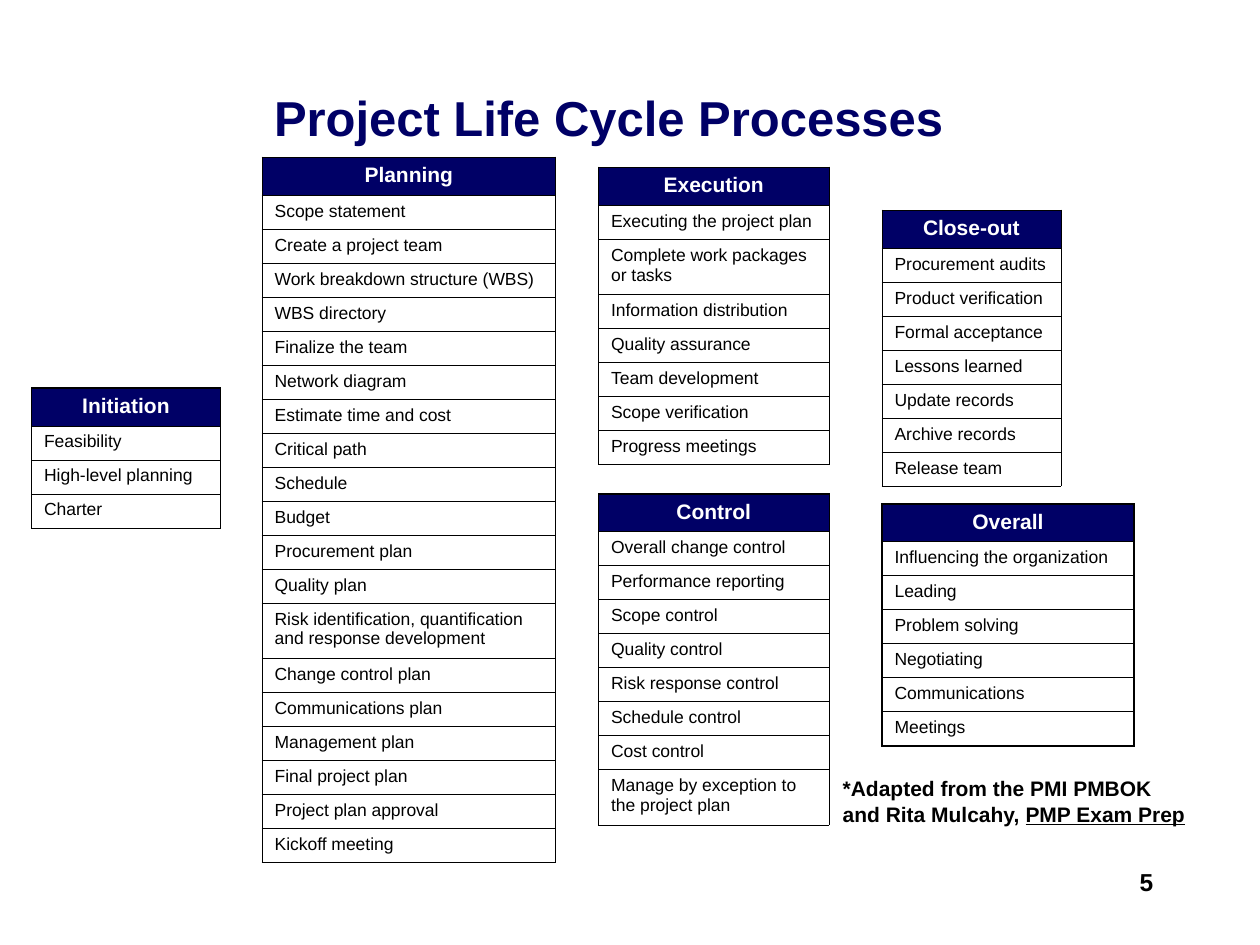
from lxml import etree
from pptx import Presentation
from pptx.dml.color import RGBColor
from pptx.enum import text
from pptx.oxml.ns import qn
from pptx.util import Inches, Pt

# Content
NAVY, BLACK, WHITE = "000066", "000000", "FFFFFF"
TITLE = "Project Life Cycle Processes"
PROCESSES = [
    {"name": "Initiation", "at": (0.25, 3.08), "width": 1.5,
     "steps": ["Feasibility", "High-level planning", "Charter"]},
    {"name": "Planning", "at": (2.08, 1.25), "width": 2.33, "thick": {"bottom"},
     "steps": ["Scope statement", "Create a project team",
               "Work breakdown structure (WBS)", "WBS directory",
               "Finalize the team", "Network diagram", "Estimate time and cost",
               "Critical path", "Schedule", "Budget", "Procurement plan",
               "Quality plan",
               "Risk identification, quantification and response development",
               "Change control plan", "Communications plan", "Management plan",
               "Final project plan", "Project plan approval", "Kickoff meeting"]},
    {"name": "Execution", "at": (4.75, 1.33), "width": 1.83,
     "steps": ["Executing the project plan", "Complete work packages or tasks",
               "Information distribution", "Quality assurance",
               "Team development", "Scope verification", "Progress meetings"]},
    {"name": "Control", "at": (4.75, 3.92), "width": 1.83,
     "steps": ["Overall change control", "Performance reporting",
               "Scope control", "Quality control", "Risk response control",
               "Schedule control", "Cost control",
               "Manage by exception to the project plan"]},
    {"name": "Close-out", "at": (7, 1.67), "width": 1.42,
     "steps": ["Procurement audits", "Product verification",
               "Formal acceptance", "Lessons learned", "Update records",
               "Archive records", "Release team"]},
    {"name": "Overall", "at": (7, 4), "width": 2, "thick": {"sides", "bottom"},
     "steps": ["Influencing the organization", "Leading", "Problem solving",
               "Negotiating", "Communications", "Meetings"]},
]
TWO_LINE_STEPS = {
    "Risk identification, quantification and response development",
    "Complete work packages or tasks",
    "Manage by exception to the project plan",
}
CREDIT = [[("*Adapted from the PMI PMBOK", False)],
          [("and Rita Mulcahy, ", False), ("PMP Exam Prep", True)]]
PAGE_NUMBER = "5"

# Formats
HEADER_HEIGHT, STEP_HEIGHT, TWO_LINE_HEIGHT = 0.3, 0.27, 0.44
THIN, THICK = 0.45, 1.08
LEFT, CENTER, RIGHT = (text.PP_ALIGN.LEFT, text.PP_ALIGN.CENTER,
                       text.PP_ALIGN.RIGHT)
HEADER = {"size": Pt(12), "bold": True, "color": WHITE}
STEP = {"size": Pt(10), "bold": False, "color": BLACK}


def rgb(color):
    return RGBColor.from_string(color)


def add_run(paragraph, words, style):
    run = paragraph.add_run()
    run.text = words
    run.font.name = "Arial"
    for key, value in style.items():
        if key == "color":
            run.font.color.rgb = rgb(value)
        else:
            setattr(run.font, key, value)


def add_text(slide, box, lines, style, align=LEFT, **frame_format):
    frame = slide.shapes.add_textbox(*map(Inches, box)).text_frame
    for key, value in {"word_wrap": True, **frame_format}.items():
        setattr(frame, key, value)
    for index, line in enumerate(lines):
        paragraph = frame.add_paragraph() if index else frame.paragraphs[0]
        paragraph.alignment = align
        for words, underline in line:
            add_run(paragraph, words, {**style, "underline": underline})


def set_borders(cell, widths):
    properties = cell._tc.get_or_add_tcPr()
    for position, (side, width) in enumerate(widths.items()):
        line = etree.Element(qn(f"a:ln{side}"), w=str(Pt(width)))
        fill = etree.SubElement(line, qn("a:solidFill"))
        etree.SubElement(fill, qn("a:srgbClr"), val=BLACK)
        properties.insert(position, line)


def add_process(slide, process):
    steps, width = process["steps"], process["width"]
    thick = process.get("thick", set())
    heights = [HEADER_HEIGHT] + [
        TWO_LINE_HEIGHT if step in TWO_LINE_STEPS else STEP_HEIGHT
        for step in steps]
    table = slide.shapes.add_table(
        len(heights), 1,
        *map(Inches, (*process["at"], width, sum(heights)))).table
    table.first_row = table.horz_banding = False
    side = THICK if "sides" in thick else THIN
    for row, words in enumerate([process["name"], *steps]):
        table.rows[row].height = Inches(heights[row])
        cell = table.cell(row, 0)
        is_header, is_last = row == 0, row == len(steps)
        if is_header:
            cell.fill.solid()
            cell.fill.fore_color.rgb = rgb(NAVY)
        else:
            cell.fill.background()
        paragraph = cell.text_frame.paragraphs[0]
        paragraph.alignment = CENTER if is_header else LEFT
        add_run(paragraph, words, HEADER if is_header else STEP)
        set_borders(cell, {
            "L": side, "R": side, "T": THICK if is_header else THIN,
            "B": THICK if is_last and "bottom" in thick else THIN})


def main():
    deck = Presentation()
    deck.slide_width, deck.slide_height = Inches(10), Inches(7.5)
    slide = deck.slides.add_slide(deck.slide_layouts[6])

    # Title
    add_text(slide, (1.58, 0.51, 6.5, 0.83), [[(TITLE, False)]],
             {"size": Pt(28), "bold": True, "color": NAVY}, CENTER,
             vertical_anchor=text.MSO_ANCHOR.MIDDLE)

    # Process tables
    for process in PROCESSES:
        add_process(slide, process)

    # Credit and page number
    add_text(slide, (6.59, 6.11, 2.93, 0.5), CREDIT,
             {"size": Pt(12), "bold": True, "color": BLACK}, word_wrap=False,
             auto_size=text.MSO_AUTO_SIZE.SHAPE_TO_FIT_TEXT)
    add_text(slide, (7.17, 6.83, 2.08, 0.5), [[(PAGE_NUMBER, False)]],
             {"size": Pt(14), "bold": True, "color": BLACK}, RIGHT)

    deck.save("out.pptx")


if __name__ == "__main__":
    main()
